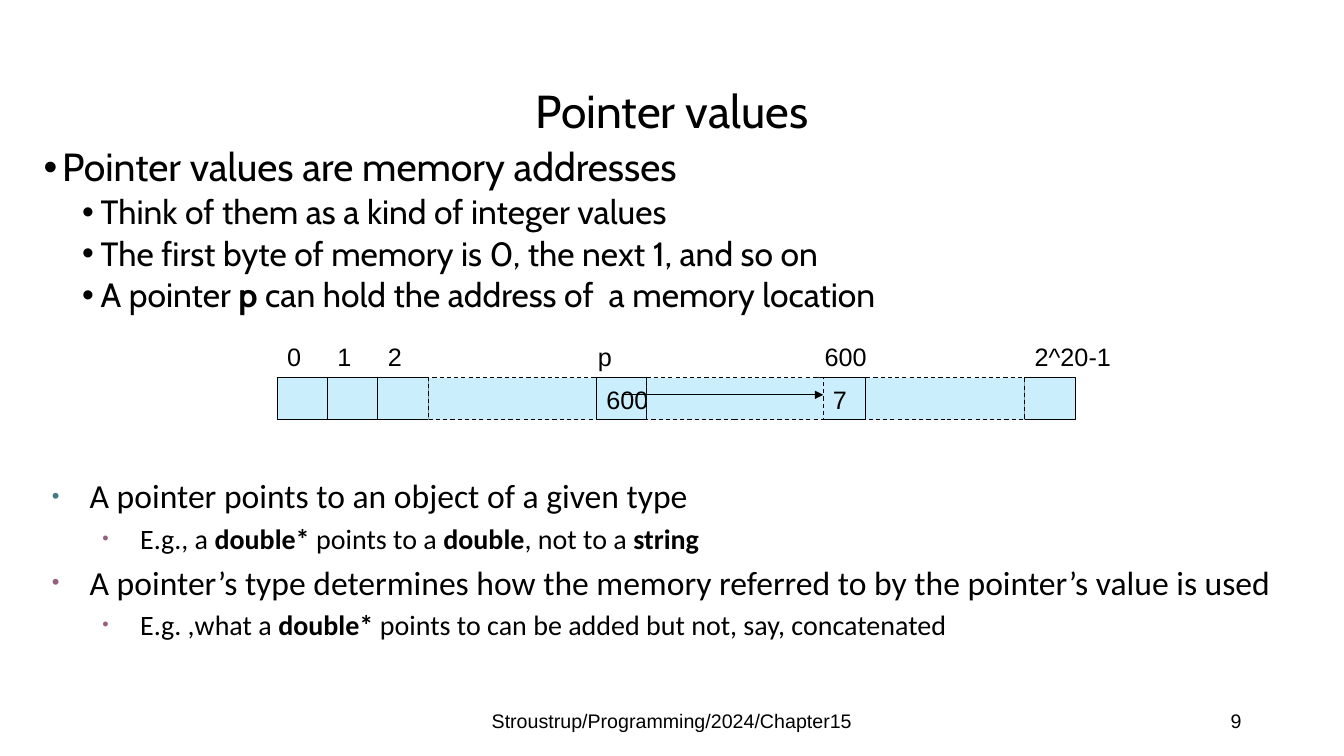
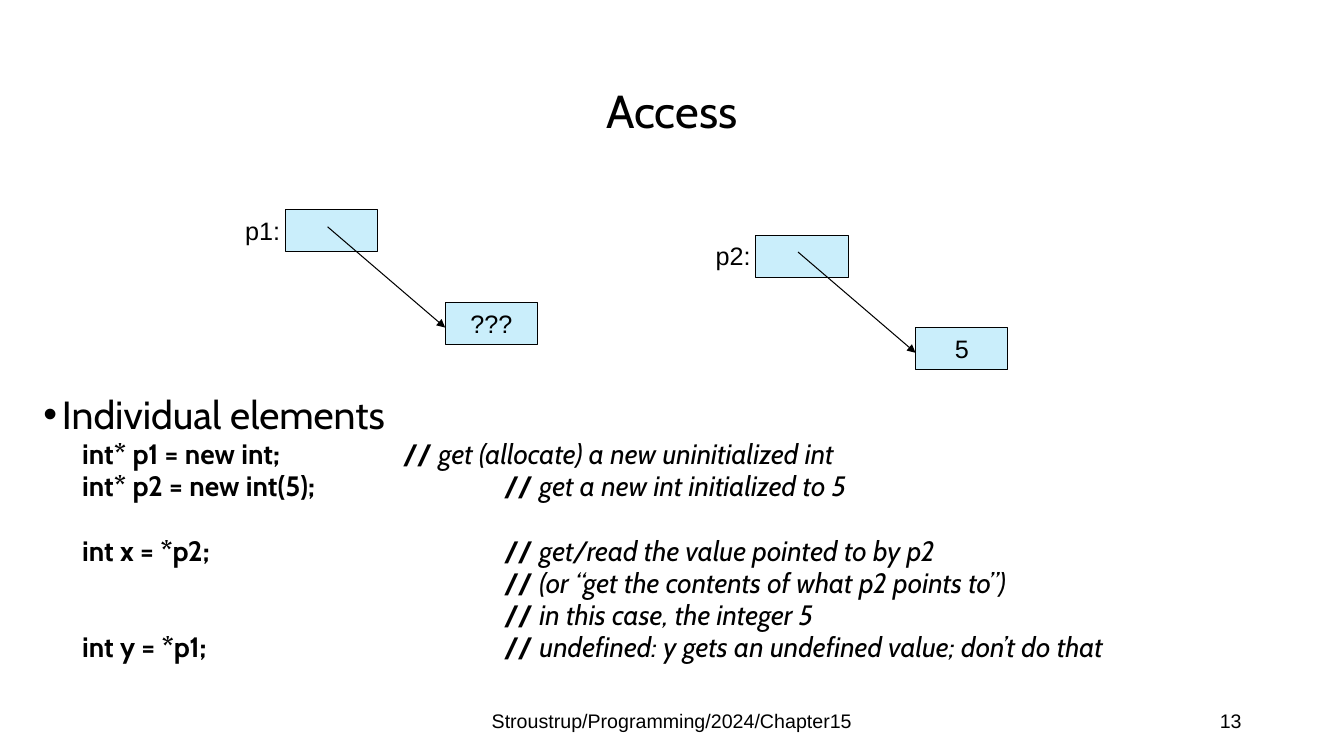
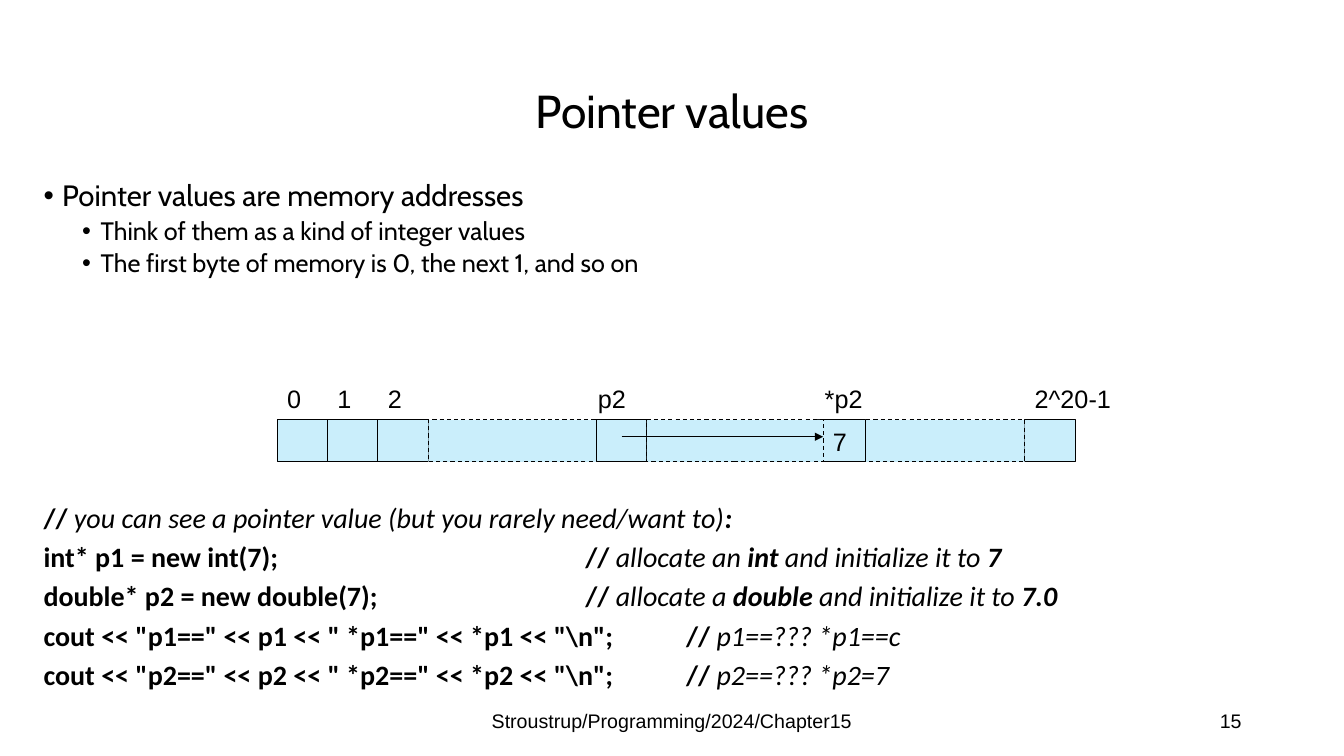
from lxml import etree
from pptx import Presentation
from pptx.dml.color import RGBColor
from pptx.enum.dml import MSO_LINE
from pptx.enum.shapes import MSO_CONNECTOR, MSO_SHAPE
from pptx.enum.text import MSO_ANCHOR, PP_ALIGN
from pptx.oxml.ns import qn
from pptx.util import Pt

LEFT, CENTER, RIGHT = PP_ALIGN.LEFT, PP_ALIGN.CENTER, PP_ALIGN.RIGHT
TOP, MIDDLE = MSO_ANCHOR.TOP, MSO_ANCHOR.MIDDLE
RECTANGLE, STRAIGHT, DASH = MSO_SHAPE.RECTANGLE, MSO_CONNECTOR.STRAIGHT, MSO_LINE.DASH

BLACK = RGBColor(0x00, 0x00, 0x00)
WHITE = RGBColor(0xFF, 0xFF, 0xFF)
MEMORY = RGBColor(0xCA, 0xEE, 0xFB)
TEAL = RGBColor(0x46, 0x78, 0x86)
PLUM = RGBColor(0x96, 0x60, 0x7D)

PX = 7620
TAB = 120
FOOTER = "Stroustrup/Programming/2024/Chapter15"

TITLE_BOX = (110, 48, 1380, 174)
FOOTER_BOX = (530, 834, 540, 48)
NUMBER_BOX = (1130, 834, 360, 48)

CABIN_1 = dict(font="Cabin", margin=22, hang=22, before=7.5, bullet=BLACK)
CABIN_2 = dict(font="Cabin", margin=68, hang=22, before=3.8, bullet=BLACK)
STYLES = {
    "topic": dict(CABIN_1, size=28, spacing=0.9),
    "point": dict(CABIN_2, size=24, spacing=0.9),
    "small topic": dict(CABIN_1, size=21, spacing=0.9),
    "small point": dict(CABIN_2, size=18, spacing=0.9),
    "code topic": dict(CABIN_1, size=28, spacing=0.8),
    "code": dict(CABIN_2, size=20, spacing=0.8, bullet=None),
    "code after gap": dict(CABIN_2, size=20, spacing=0.8, bullet=None, before=27),
    "rule": dict(font="Calibri", size=24, margin=45, hang=45, before=4.8, bullet=TEAL, scale=65),
    "second rule": dict(font="Calibri", size=24, margin=45, hang=45, before=4.8, bullet=PLUM, scale=65),
    "example": dict(font="Calibri", size=20, margin=105, hang=45, before=4, bullet=PLUM, scale=65),
    "listing": dict(font="Calibri", size=20, margin=45, hang=45, before=4),
}

ADDRESSES = [
    ("topic", [("Pointer values are memory addresses", "")]),
    ("point", [("Think of them as a kind of integer values", "")]),
    ("point", [("The first byte of memory is 0, the next 1, and so on", "")]),
    ("point", [("A pointer ", ""), ("p", "b"), (" can hold the address of  a memory location", "")]),
]
TYPES = [
    ("rule", [("A pointer points to an object of a given type", "")]),
    ("example", [("E.g., a ", ""), ("double*", "b"), (" points to a ", ""), ("double", "b"),
                 (", not to a ", ""), ("string", "b")]),
    ("second rule", [("A pointer’s type determines how the memory referred to by the pointer’s value is used", "")]),
    ("example", [("E.g. ,what a ", ""), ("double*", "b"),
                 (" points to can be added but not, say, concatenated", "")]),
]
ELEMENTS = [
    ("code topic", [("Individual elements", "")]),
    ("code", [("int* p1 = new int;\t\t// ", "b"), ("get (allocate) a new uninitialized int", "i")]),
    ("code", [("int* p2 = new int(5);\t\t// ", "b"), ("get a new int initialized to 5", "i")]),
    ("code after gap", [("int x = *p2;\t\t\t// ", "b"), ("get/read the value pointed to by p2", "i")]),
    ("code", [("\t\t\t\t\t// ", "b"), ("(or “get the contents of what p2 points to”)", "i")]),
    ("code", [("\t\t\t\t\t// ", "b"), ("in this case, the integer 5", "i")]),
    ("code", [("int y = *p1;\t\t\t//", "b"), (" undefined: y gets an undefined value; don’t do that", "i")]),
]
SHORT_ADDRESSES = [
    ("small topic", ADDRESSES[0][1]),
    ("small point", ADDRESSES[1][1]),
    ("small point", ADDRESSES[2][1]),
]
PRINTING = [
    ("listing", [("// ", "b"), ("you can see a pointer value (but you rarely need/want to)", "i"), (":", "bi")]),
    ("listing", [("int* p1 = new int(7);\t\t\t\t// ", "b"), ("allocate an", "i"), (" int ", "bi"),
                 ("and initialize it to", "i"), (" 7", "bi")]),
    ("listing", [("double* p2 = new double(7);\t\t\t// ", "b"), ("allocate a", "i"), (" double ", "bi"),
                 ("and initialize it to", "i"), (" 7.0", "bi")]),
    ("listing", [('cout << "p1==" << p1 << " *p1==" << *p1 << "\\n";\t// ', "b"), ("p1==??? *p1==c", "i")]),
    ("listing", [('cout << "p2==" << p2 << " *p2==" << *p2 << "\\n";\t// ', "b"), ("p2==??? *p2=7", "i")]),
]

SLIDES = [
    dict(title="Pointer values", number="9",
         texts=[((40, 170, 1302, 250), ADDRESSES), ((50, 560, 1500, 280), TYPES)],
         memory=dict(top=450, pointer="p", held="600", target="600")),
    dict(title="Access", number="13",
         texts=[((40, 470, 1330, 320), ELEMENTS)],
         pairs=[("p1:", "???", 280, 250), ("p2:", "5", 840, 280)]),
    dict(title="Pointer values", number="15",
         texts=[((40, 210, 1300, 148), SHORT_ADDRESSES), ((40, 590, 1340, 240), PRINTING)],
         memory=dict(top=500, pointer="p2", held="", target="*p2")),
]


def px(*lengths):
    return [length * PX for length in lengths]


def style_run(run, font, size, emphasis=""):
    run.font.name, run.font.size = font, Pt(size)
    run.font.color.rgb = BLACK
    run.font.bold, run.font.italic = "b" in emphasis, "i" in emphasis


def add_label(slide, box, text, size=18, font="Arial", align=LEFT, anchor=TOP):
    frame = slide.shapes.add_textbox(*px(*box)).text_frame
    frame.word_wrap, frame.vertical_anchor = True, anchor
    frame.text = text
    line = frame.paragraphs[0]
    line.alignment = align
    style_run(line.runs[0], font, size)
    return line


def format_paragraph(paragraph, style, first):
    paragraph.space_before = Pt(0 if first else style["before"])
    if "spacing" in style:
        paragraph.line_spacing = style["spacing"]
    props = paragraph._p.get_or_add_pPr()
    props.set("marL", str(style["margin"] * PX))
    props.set("indent", str(-style["hang"] * PX))
    props.set("defTabSz", str(TAB * PX))
    if style.get("bullet") is None:
        etree.SubElement(props, qn("a:buNone"))
        return
    colour = etree.SubElement(props, qn("a:buClr"))
    etree.SubElement(colour, qn("a:srgbClr"), val=str(style["bullet"]))
    etree.SubElement(props, qn("a:buSzPct"), val=str(style.get("scale", 100) * 1000))
    etree.SubElement(props, qn("a:buFont"), typeface="Arial")
    etree.SubElement(props, qn("a:buChar"), char="•")


def add_text(slide, box, content):
    frame = slide.shapes.add_textbox(*px(*box)).text_frame
    frame.word_wrap = True
    for index, (name, pieces) in enumerate(content):
        paragraph = frame.add_paragraph() if index else frame.paragraphs[0]
        style = STYLES[name]
        format_paragraph(paragraph, style, index == 0)
        for text, emphasis in pieces:
            run = paragraph.add_run()
            run.text = text
            style_run(run, style["font"], style["size"], emphasis)


def add_cell(slide, left, top, width, text="", dashed=False, align=CENTER):
    cell = slide.shapes.add_shape(RECTANGLE, *px(left, top, width, 50))
    cell.shadow.inherit = False
    cell.fill.solid()
    cell.fill.fore_color.rgb = MEMORY
    cell.line.color.rgb = BLACK
    cell.line.width = Pt(0.75)
    if dashed:
        cell.line.dash_style = DASH
    if text:
        frame = cell.text_frame
        frame.word_wrap, frame.vertical_anchor = False, MIDDLE
        frame.text = text
        frame.paragraphs[0].alignment = align
        style_run(frame.paragraphs[0].runs[0], "Arial", 18)


def add_arrow(slide, *ends):
    arrow = slide.shapes.add_connector(STRAIGHT, *px(*ends))
    arrow.line.color.rgb = BLACK
    arrow.line.width = Pt(0.75)
    etree.SubElement(arrow.line._get_or_add_ln(), qn("a:tailEnd"), type="triangle")
    etree.SubElement(arrow._element.spPr, qn("a:effectLst"))


def add_memory(slide, top, pointer, held, target):
    first, step = 330, 60
    for address in range(3):
        left = first + address * step
        add_cell(slide, left, top, step)
        add_label(slide, (left, top - 50, 50, 48), str(address))
    add_cell(slide, 1220, top, step)
    add_cell(slide, 510, top, 200, dashed=True)
    add_cell(slide, 1030, top, 190, dashed=True)
    add_cell(slide, 970, top, step, "7")
    add_cell(slide, 710, top, step, held, align=LEFT)
    add_cell(slide, 770, top, 210, dashed=True)
    add_arrow(slide, 740, top + 20, 980, top + 20)
    for text, left, width in ((pointer, 700, 80), (target, 970, 80), ("2^20-1", 1220, 130)):
        add_label(slide, (left, top - 50, width, 48), text)


def add_pair(slide, name, value, left, top):
    add_cell(slide, left + 250, top + 110, 110, value)
    add_cell(slide, left + 60, top, 110)
    add_arrow(slide, left + 110, top + 20, left + 250, top + 140)
    add_label(slide, (left, top, 80, 48), name)


def main():
    deck = Presentation()
    deck.slide_width, deck.slide_height = px(1600, 900)
    for content in SLIDES:
        slide = deck.slides.add_slide(deck.slide_layouts[6])
        slide.background.fill.solid()
        slide.background.fill.fore_color.rgb = WHITE
        title = add_label(slide, TITLE_BOX, content["title"], 33, "Cabin", CENTER, MIDDLE)
        title.line_spacing = 0.9
        for box, paragraphs in content["texts"]:
            add_text(slide, box, paragraphs)
        add_label(slide, FOOTER_BOX, FOOTER, 14, align=CENTER, anchor=MIDDLE)
        add_label(slide, NUMBER_BOX, content["number"], 14, align=RIGHT, anchor=MIDDLE)
        if "memory" in content:
            add_memory(slide, **content["memory"])
        for pair in content.get("pairs", []):
            add_pair(slide, *pair)
    deck.save("out.pptx")


if __name__ == "__main__":
    main()
